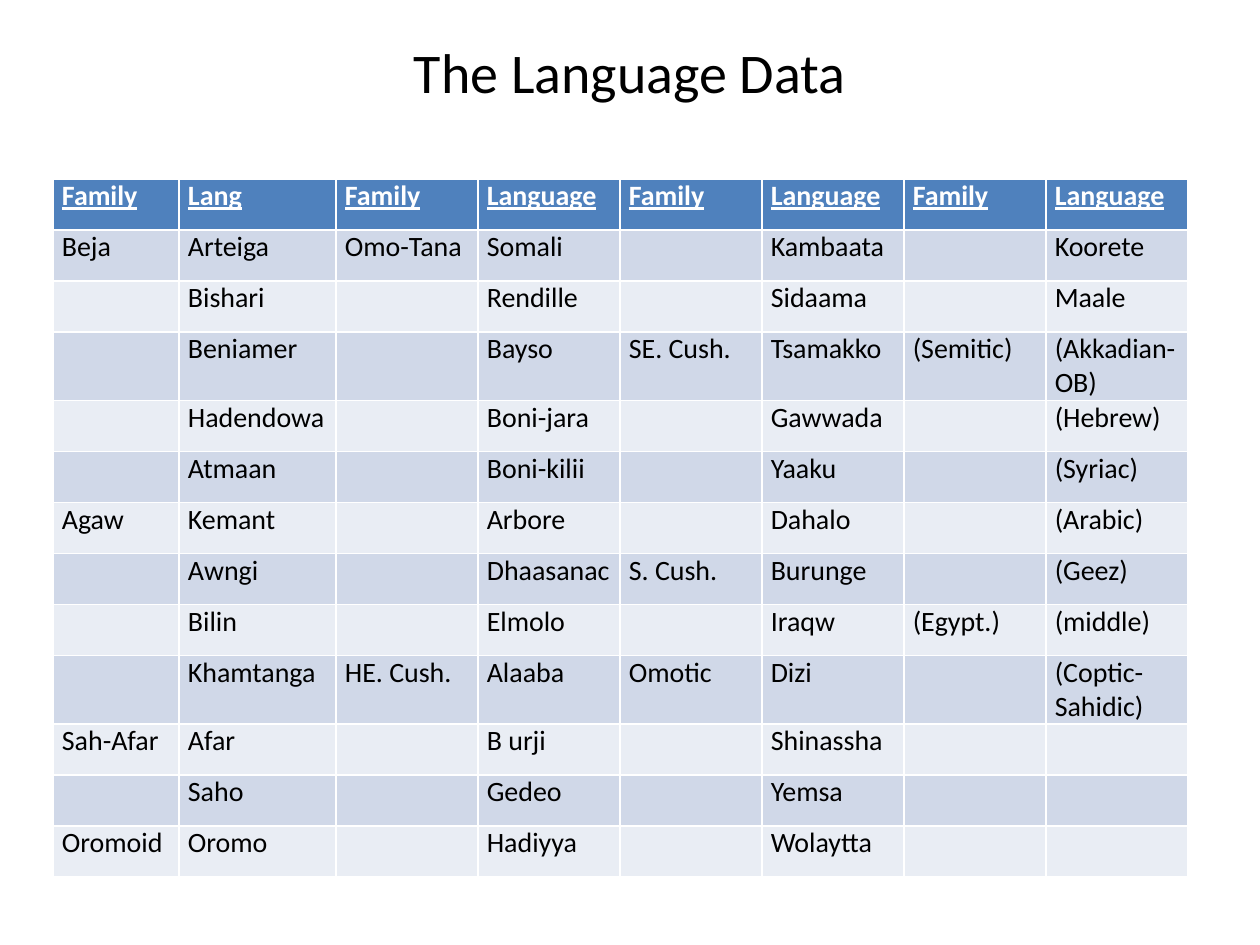
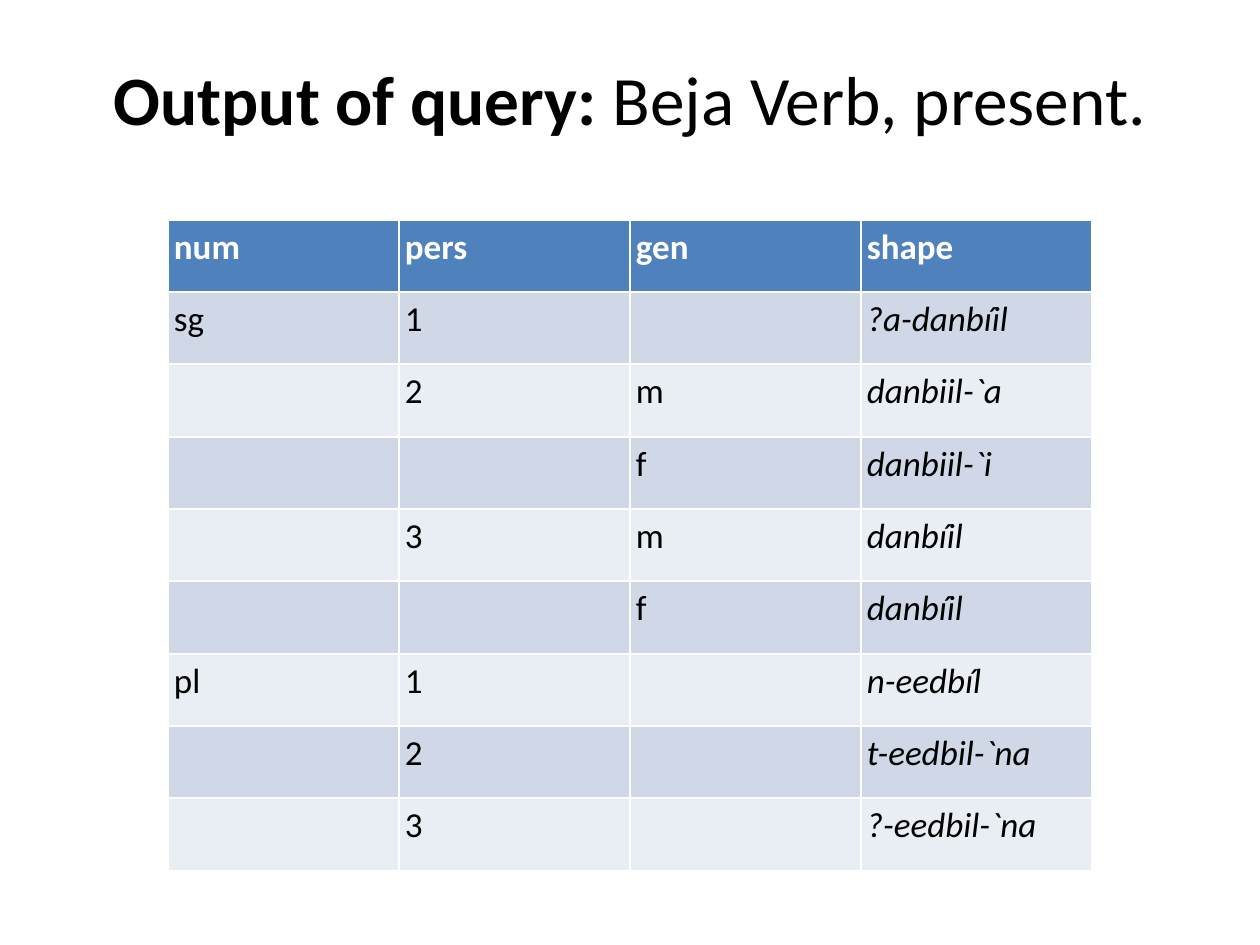
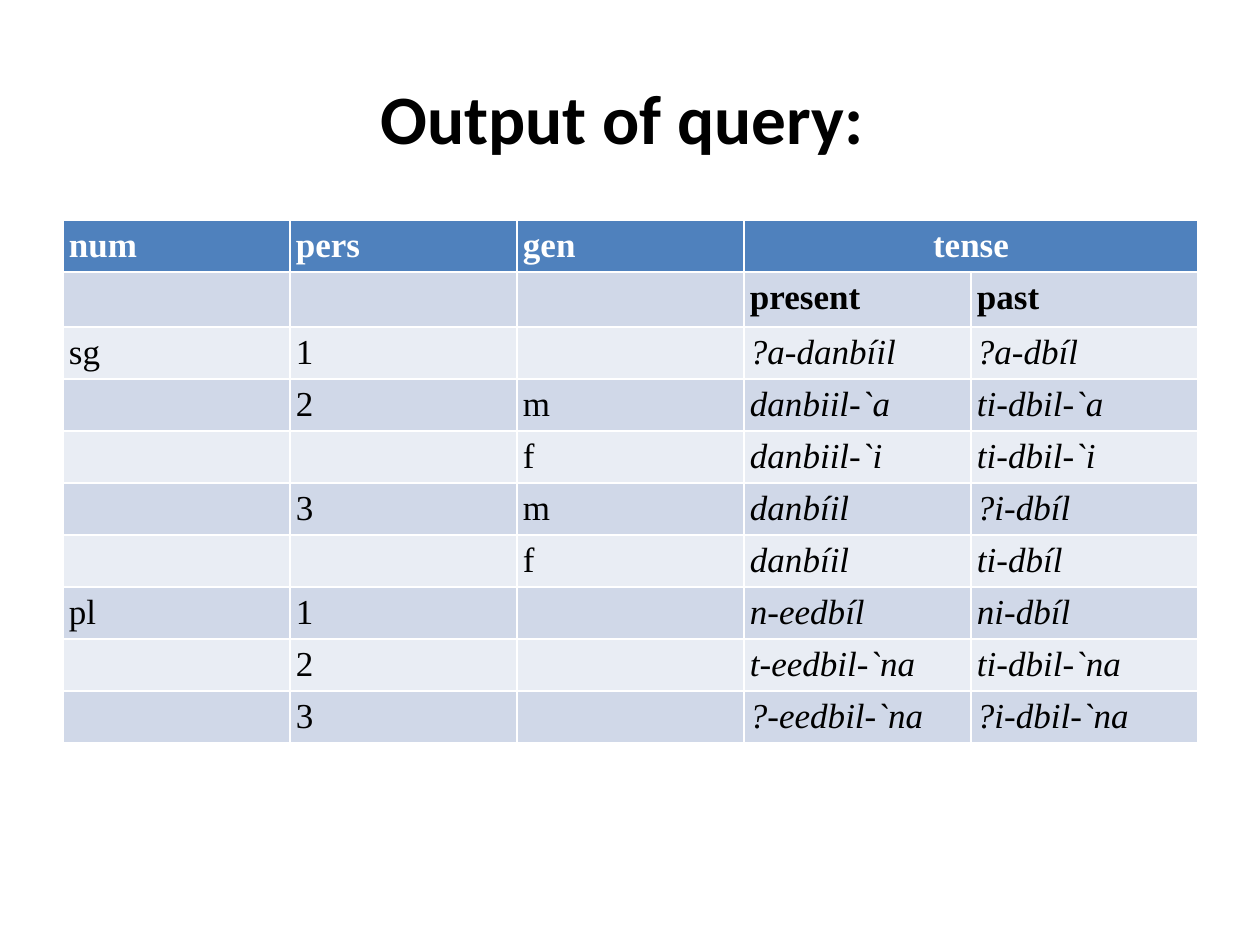
from dataclasses import dataclass

from pptx import Presentation
from pptx.dml.color import RGBColor
from pptx.enum.text import MSO_ANCHOR, MSO_AUTO_SIZE, PP_ALIGN
from pptx.util import Emu, Pt

# Shared look
EMU_PER_PX = 914400 / 126
BLACK, WHITE = "000000", "FFFFFF"
HEADER_FILL = "4F81BD"
BAND_FILLS = ("D0D8E8", "E9EDF4")
TITLE_LEFT, TITLE_TOP, TITLE_WIDTH = 63, 38, 1134
TITLE_LAYOUT = 5


@dataclass
class TableStyle:
    font: str
    size: int
    margin_x: int
    margin_y: int
    underlined_header: bool = False
    bold_rows: tuple = (0,)
    italic_columns: tuple = ()


LANGUAGE_STYLE = TableStyle("Calibri", 16, 9, 0, underlined_header=True)
PRESENT_STYLE = TableStyle("Calibri", 20, 6, 6, italic_columns=(3,))
TENSE_STYLE = TableStyle("Times New Roman", 20, 6, 6, bold_rows=(0, 1),
                         italic_columns=(3, 4))

# Content
LANGUAGES = [
    ("Family", "Lang", "Family", "Language", "Family", "Language", "Family", "Language"),
    ("Beja", "Arteiga", "Omo-Tana", "Somali", "", "Kambaata", "", "Koorete"),
    ("", "Bishari", "", "Rendille", "", "Sidaama", "", "Maale"),
    ("", "Beniamer", "", "Bayso", "SE. Cush.", "Tsamakko", "(Semitic)", "(Akkadian-OB)"),
    ("", "Hadendowa", "", "Boni-jara", "", "Gawwada", "", "(Hebrew)"),
    ("", "Atmaan", "", "Boni-kilii", "", "Yaaku", "", "(Syriac)"),
    ("Agaw", "Kemant", "", "Arbore", "", "Dahalo", "", "(Arabic)"),
    ("", "Awngi", "", "Dhaasanac", "S. Cush.", "Burunge", "", "(Geez)"),
    ("", "Bilin", "", "Elmolo", "", "Iraqw", "(Egypt.)", "(middle)"),
    ("", "Khamtanga", "HE. Cush.", "Alaaba", "Omotic", "Dizi", "", "(Coptic-Sahidic)"),
    ("Sah-Afar", "Afar", "", "B urji", "", "Shinassha", "", ""),
    ("", "Saho", "", "Gedeo", "", "Yemsa", "", ""),
    ("Oromoid", "Oromo", "", "Hadiyya", "", "Wolaytta", "", ""),
]

# Number, person, gender, present, past
BEJA_VERB = [
    ("sg", "1", "", "?a-danbíil", "?a-dbíl"),
    ("", "2", "m", "danbiil-`a", "ti-dbil-`a"),
    ("", "", "f", "danbiil-`i", "ti-dbil-`i"),
    ("", "3", "m", "danbíil", "?i-dbíl"),
    ("", "", "f", "danbíil", "ti-dbíl"),
    ("pl", "1", "", "n-eedbíl", "ni-dbíl"),
    ("", "2", "", "t-eedbil-`na", "ti-dbil-`na"),
    ("", "3", "", "?-eedbil-`na", "?i-dbil-`na"),
]
PRESENT_ROWS = [("num", "pers", "gen", "shape")] + [row[:4] for row in BEJA_VERB]
TENSE_ROWS = [("num", "pers", "gen", "tense", ""),
              ("", "", "", "present", "past")] + BEJA_VERB


def px(length):
    return Emu(round(length * EMU_PER_PX))


def color(value):
    return RGBColor.from_string(value)


def add_titled_slide(presentation, title_height, size, runs):
    """Add a slide whose title is made of (text, bold) runs."""
    slide = presentation.slides.add_slide(presentation.slide_layouts[TITLE_LAYOUT])
    title = slide.shapes.title
    title.left, title.top = px(TITLE_LEFT), px(TITLE_TOP)
    title.width, title.height = px(TITLE_WIDTH), px(title_height)
    frame = title.text_frame
    frame.word_wrap = True
    frame.auto_size = MSO_AUTO_SIZE.NONE
    frame.vertical_anchor = MSO_ANCHOR.MIDDLE
    paragraph = frame.paragraphs[0]
    paragraph.alignment = PP_ALIGN.CENTER
    paragraph.font.name = "Calibri"
    paragraph.font.size = Pt(size)
    paragraph.font.color.rgb = color(BLACK)
    for text, bold in runs:
        run = paragraph.add_run()
        run.text = text
        run.font.bold = bold
    return slide


def format_cell(cell, text, row, column, style):
    cell.margin_left = cell.margin_right = px(style.margin_x)
    cell.margin_top = cell.margin_bottom = px(style.margin_y)
    cell.fill.solid()
    fill = BAND_FILLS[(row - 1) % 2] if row else HEADER_FILL
    cell.fill.fore_color.rgb = color(fill)
    cell.text = text
    font = cell.text_frame.paragraphs[0].font
    font.name = style.font
    font.size = Pt(style.size)
    font.color.rgb = color(BLACK if row else WHITE)
    font.bold = row in style.bold_rows
    font.italic = column in style.italic_columns and row not in style.bold_rows
    font.underline = style.underlined_header and row == 0


def add_banded_table(slide, left, top, widths, heights, rows, style):
    frame = slide.shapes.add_table(len(rows), len(widths), px(left), px(top),
                                   px(sum(widths)), px(sum(heights)))
    table = frame.table
    for column, width in zip(table.columns, widths):
        column.width = px(width)
    for table_row, height in zip(table.rows, heights):
        table_row.height = px(height)
    for row, texts in enumerate(rows):
        for column, text in enumerate(texts):
            format_cell(table.cell(row, column), text, row, column, style)
    return table


def main():
    presentation = Presentation()
    presentation.slide_width, presentation.slide_height = px(1260), px(945)

    # Languages by family
    slide = add_titled_slide(presentation, 67, 32, [("The Language Data", False)])
    add_banded_table(slide, 53, 179, [126, 157] + [142] * 6, [51] * 13,
                     LANGUAGES, LANGUAGE_STYLE)

    # Present tense
    slide = add_titled_slide(presentation, 120, 39.6,
                             [("Output of query: ", True), ("Beja Verb, present.", False)])
    add_banded_table(slide, 168, 220, [231] * 4, [72, 72, 73] * 3,
                     PRESENT_ROWS, PRESENT_STYLE)

    # Present and past tense under one heading
    slide = add_titled_slide(presentation, 158, 39.6, [("Output of query: ", True)])
    table = add_banded_table(slide, 63, 220, [227] * 5, [52, 55] + [52] * 8,
                             TENSE_ROWS, TENSE_STYLE)
    tense_heading = table.cell(0, 3)
    tense_heading.merge(table.cell(0, 4))
    tense_heading.text_frame.paragraphs[0].alignment = PP_ALIGN.CENTER

    presentation.save("out.pptx")


if __name__ == "__main__":
    main()
